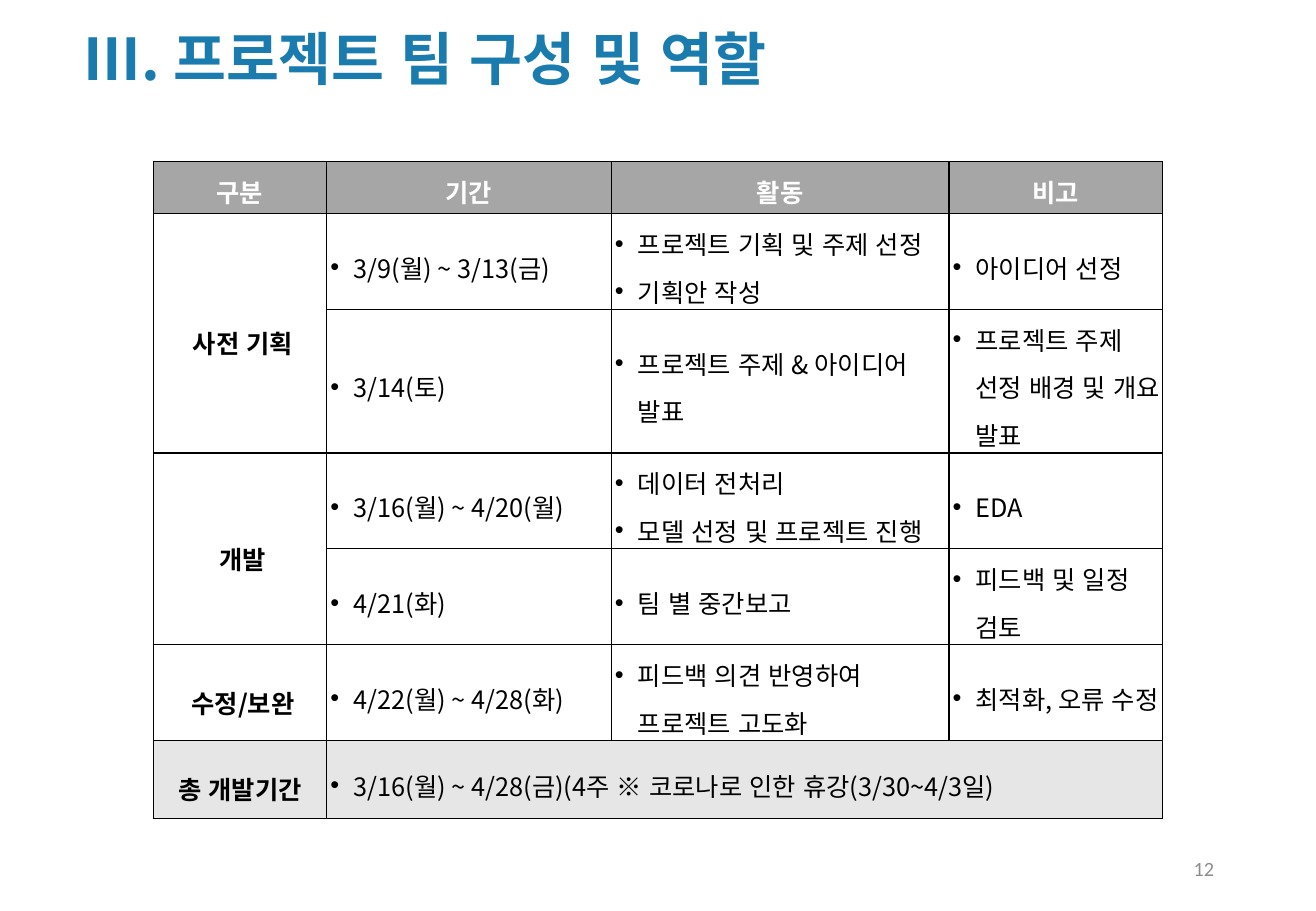
from pptx import Presentation
from pptx.dml.color import RGBColor
from pptx.enum.lang import MSO_LANGUAGE_ID as LANG
from pptx.enum.text import MSO_ANCHOR, MSO_AUTO_SIZE, PP_ALIGN
from pptx.oxml.ns import qn
from pptx.util import Inches, Pt
from lxml.etree import SubElement

# Content
TITLE = [("Ⅲ. ", "Noto Sans CJK KR"), ("프로젝트 팀 구성 및 역할", "Arial Narrow")]
HEADERS = ["구분", "기간", "활동", "비고"]
SCHEDULE = [  # phase, then lists of bullets for period, activity, note
    ("사전 기획", ["3/9(월) ~ 3/13(금)"],
     ["프로젝트 기획 및 주제 선정", "기획안 작성"], ["아이디어 선정"]),
    (None, ["3/14(토)"],
     ["프로젝트 주제 & 아이디어 발표"], ["프로젝트 주제 선정 배경 및 개요 발표"]),
    ("개발", ["3/16(월) ~ 4/20(월)"],
     ["데이터 전처리", "모델 선정 및 프로젝트 진행"], ["EDA"]),
    (None, ["4/21(화)"], ["팀 별 중간보고"], ["피드백 및 일정 검토"]),
    ("수정/보완", ["4/22(월) ~ 4/28(화)"],
     ["피드백 의견 반영하여 프로젝트 고도화"], ["최적화, 오류 수정"]),
    ("총 개발기간",
     ["3/16(월) ~ 4/28(금)(4주 ※ 코로나로 인한 휴강(3/30~4/3일)"], None, None),
]
MERGES = [((1, 0), (2, 0)), ((3, 0), (4, 0)), ((6, 1), (6, 3))]
PAGE = "12"

# Style
COLORS = {"title": "1A7BAE", "header": "A6A6A6", "total": "E7E6E6",
          "white": "FFFFFF", "black": "000000", "page": "8C8C8C"}
KOREAN = "Noto Sans CJK KR"
COL_WIDTHS = [1.43, 2.34, 2.78, 1.76]
TWO_LINES, THREE_LINES = 0.79, 1.18
ROW_HEIGHTS = [0.43, TWO_LINES, THREE_LINES, TWO_LINES, TWO_LINES, TWO_LINES, 0.64]
INDENT = Inches(0.19)


def add_run(p, text, size, color, bold=False, font=KOREAN, east_asian=KOREAN):
    r = p.add_run()
    r.text = text
    r.font.size, r.font.bold, r.font.name = Pt(size), bold, font
    r.font.color.rgb = RGBColor.from_string(COLORS[color])
    r.font.language_id = LANG.KOREAN
    SubElement(r.font._element, qn("a:ea"), typeface=east_asian)


def add_bullet(p):
    pPr = p._p.get_or_add_pPr()
    pPr.set("marL", str(INDENT))
    pPr.set("indent", str(-INDENT))
    SubElement(pPr, qn("a:buFont"), typeface="Arial")
    SubElement(pPr, qn("a:buChar"), char="•")


def style_cell(cell, fill=None):
    tcPr = cell._tc.get_or_add_tcPr()
    for side in ("lnL", "lnR", "lnT", "lnB"):
        ln = SubElement(tcPr, qn(f"a:{side}"), w=str(Pt(0.75)))
        line_fill = SubElement(ln, qn("a:solidFill"))
        SubElement(line_fill, qn("a:srgbClr"), val=COLORS["black"])
    if fill:
        cell.fill.solid()
        cell.fill.fore_color.rgb = RGBColor.from_string(COLORS[fill])
    else:
        cell.fill.background()
    cell.vertical_anchor = MSO_ANCHOR.MIDDLE
    cell.margin_left = cell.margin_right = cell.margin_top = cell.margin_bottom = 0


def write_label(cell, text, color, spacing, left=0):
    cell.margin_left = Inches(left)
    p = cell.text_frame.paragraphs[0]
    p.alignment, p.line_spacing = PP_ALIGN.CENTER, spacing
    add_run(p, text, 15, color, bold=True)


def write_bullets(cell, items):
    cell.margin_left = Inches(0.03)
    tf = cell.text_frame
    for i, item in enumerate(items):
        p = tf.add_paragraph() if i else tf.paragraphs[0]
        p.line_spacing = 1.3
        add_bullet(p)
        add_run(p, item, 15, "black")


prs = Presentation()
prs.slide_width, prs.slide_height = Inches(10.83), Inches(7.5)
s = prs.slides.add_slide(prs.slide_layouts[5])

# Title
title = s.shapes.title
title.left, title.top = Inches(0.59), Inches(0.14)
title.width, title.height = Inches(6.36), Inches(0.67)
tf = title.text_frame
tf.auto_size, tf.word_wrap = MSO_AUTO_SIZE.SHAPE_TO_FIT_TEXT, False
tf.vertical_anchor = MSO_ANCHOR.TOP
p = tf.paragraphs[0]
p.alignment = PP_ALIGN.LEFT
for text, font in TITLE:
    add_run(p, text, 34.1, "title", bold=True, font=font)

# Schedule table
frame = s.shapes.add_table(len(ROW_HEIGHTS), len(COL_WIDTHS), Inches(1.26), Inches(1.33),
                           Inches(sum(COL_WIDTHS)), Inches(sum(ROW_HEIGHTS)))
table = frame.table
table.horz_banding = False
for column, width in zip(table.columns, COL_WIDTHS):
    column.width = Inches(width)
for row, height in zip(table.rows, ROW_HEIGHTS):
    row.height = Inches(height)

last = len(ROW_HEIGHTS) - 1
fills = {0: "header", last: "total"}
for i, row in enumerate(table.rows):
    for cell in row.cells:
        style_cell(cell, fills.get(i))
for start, end in MERGES:
    table.cell(*start).merge(table.cell(*end))

for j, header in enumerate(HEADERS):
    write_label(table.cell(0, j), header, "white", 1.2)
for i, (phase, *details) in enumerate(SCHEDULE, start=1):
    if phase:
        write_label(table.cell(i, 0), phase, "black", 1.5, 0 if i == last else 0.05)
    for j, items in enumerate(details, start=1):
        if items:
            write_bullets(table.cell(i, j), items)

# Page number
sp = s.shapes.add_textbox(Inches(7.65), Inches(6.95), Inches(2.44), Inches(0.4))
tf = sp.text_frame
tf.word_wrap, tf.vertical_anchor = True, MSO_ANCHOR.MIDDLE
p = tf.paragraphs[0]
p.alignment = PP_ALIGN.RIGHT
add_run(p, PAGE, 12, "page", font="Calibri", east_asian="Calibri")

prs.save("out.pptx")
